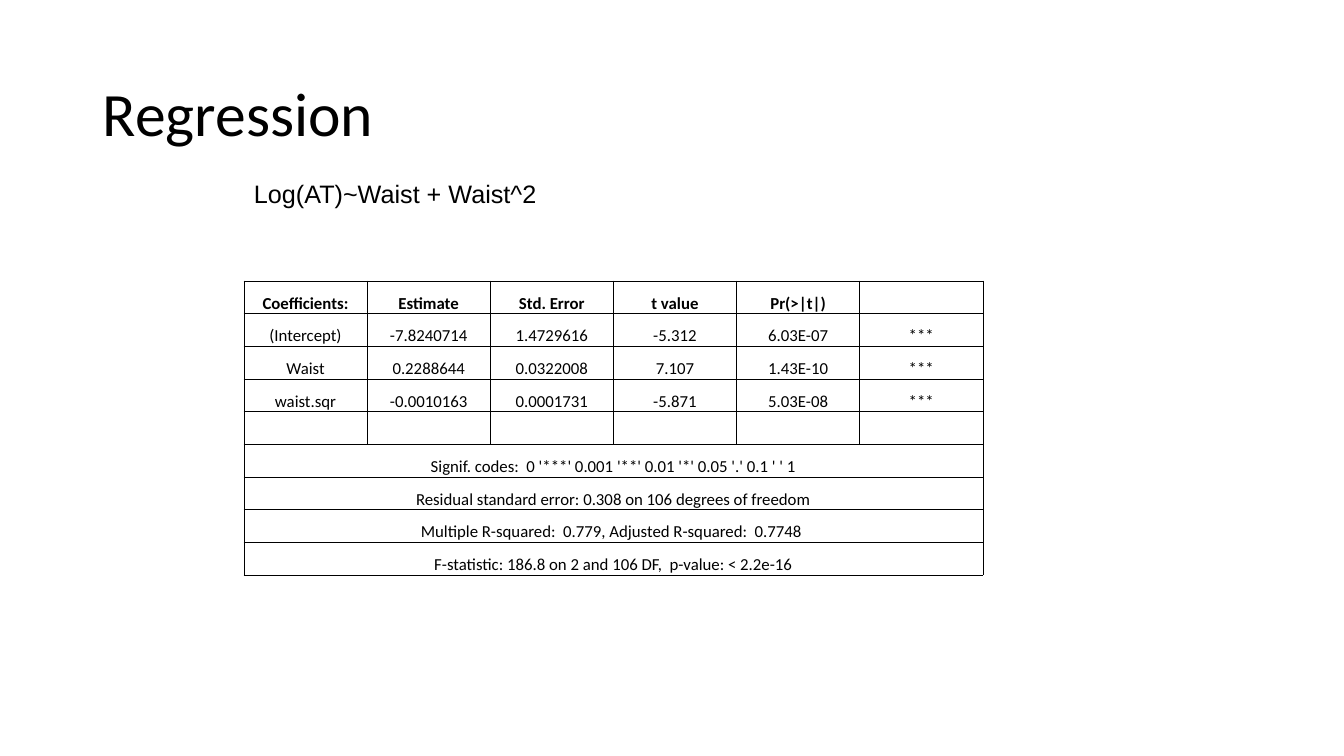
from lxml import etree
from pptx import Presentation
from pptx.dml.color import RGBColor
from pptx.enum.text import MSO_ANCHOR, PP_ALIGN
from pptx.oxml.ns import qn
from pptx.util import Emu, Pt

TITLE = "Regression"
MODEL = "Log(AT)~Waist + Waist^2"
COEFFICIENTS = [
    ["Coefficients:", "Estimate", "Std. Error", "t value", "Pr(>|t|)", ""],
    ["(Intercept)", "-7.8240714", "1.4729616", "-5.312", "6.03E-07", "***"],
    ["Waist", "0.2288644", "0.0322008", "7.107", "1.43E-10", "***"],
    ["waist.sqr", "-0.0010163", "0.0001731", "-5.871", "5.03E-08", "***"],
    [""] * 6,
]
SUMMARY = [
    "Signif. codes:  0 '***' 0.001 '**' 0.01 '*' 0.05 '.' 0.1 ' ' 1",
    "Residual standard error: 0.308 on 106 degrees of freedom",
    "Multiple R-squared:  0.779, Adjusted R-squared:  0.7748 ",
    "F-statistic: 186.8 on 2 and 106 DF,  p-value: < 2.2e-16",
]

COLORS = {"ink": "000000", "paper": "FFFFFF"}
SLIDE_SIZE = (1344, 756)
TITLE_BOX = (93, 70, 975, 93)
MODEL_BOX = (244, 173, 336, 40)
TABLE_BOX = (244, 281, 739, 294)
CELL_MARGIN = 1
TABLE_TEXT_SIZE = 12
BORDER_WIDTH = 0.5

CENTER = PP_ALIGN.CENTER
LEFT = PP_ALIGN.LEFT
MIDDLE = MSO_ANCHOR.MIDDLE
TOP = MSO_ANCHOR.TOP
BOTTOM = MSO_ANCHOR.BOTTOM


def px(length):
    return Emu(round(length * 914400 / 100.8))


def write_text(frame, text, size, font="Calibri", bold=False, align=LEFT, line_spacing=None):
    paragraph = frame.paragraphs[0]
    paragraph.alignment = align
    paragraph.line_spacing = line_spacing
    if not text:
        # An empty paragraph takes its height from its end mark.
        etree.SubElement(paragraph._p, qn("a:endParaRPr"), sz=str(size * 100))
        return
    run = paragraph.add_run()
    run.text = text
    run.font.size = Pt(size)
    run.font.name = font
    run.font.bold = bold
    run.font.color.rgb = RGBColor.from_string(COLORS["ink"])


def add_text(slide, box, text, anchor=TOP, **text_format):
    shape = slide.shapes.add_textbox(*map(px, box))
    frame = shape.text_frame
    frame.word_wrap = True
    frame.vertical_anchor = anchor
    write_text(frame, text, **text_format)


def set_borders(cell):
    properties = cell._tc.get_or_add_tcPr()
    for position, side in enumerate(("lnL", "lnR", "lnT", "lnB")):
        line = etree.Element(qn(f"a:{side}"), w=str(Pt(BORDER_WIDTH)))
        fill = etree.SubElement(line, qn("a:solidFill"))
        etree.SubElement(fill, qn("a:srgbClr"), val=COLORS["ink"])
        properties.insert(position, line)


def add_regression_table(slide):
    rows = COEFFICIENTS + [[line] for line in SUMMARY]
    column_count = len(COEFFICIENTS[0])
    left, top, width, height = TABLE_BOX
    frame = slide.shapes.add_table(len(rows), column_count, *map(px, TABLE_BOX))
    table = frame.table
    table.first_row = False
    table.horz_banding = False
    for column in table.columns:
        column.width = px(width / column_count)
    for row in table.rows:
        row.height = px(height / len(rows))

    for row_index, values in enumerate(rows):
        for column_index in range(column_count):
            cell = table.cell(row_index, column_index)
            cell.fill.solid()
            cell.fill.fore_color.rgb = RGBColor.from_string(COLORS["paper"])
            set_borders(cell)
            cell.vertical_anchor = BOTTOM
            cell.margin_left = cell.margin_right = cell.margin_top = px(CELL_MARGIN)
            cell.margin_bottom = 0
        if len(values) == 1:
            table.cell(row_index, 0).merge(table.cell(row_index, column_count - 1))
        for column_index, value in enumerate(values):
            write_text(table.cell(row_index, column_index).text_frame, value,
                       size=TABLE_TEXT_SIZE, bold=row_index == 0, align=CENTER)


def main():
    presentation = Presentation()
    presentation.slide_width, presentation.slide_height = map(px, SLIDE_SIZE)
    slide = presentation.slides.add_slide(presentation.slide_layouts[6])
    add_text(slide, TITLE_BOX, TITLE, anchor=MIDDLE, size=44, line_spacing=0.9)
    add_regression_table(slide)
    add_text(slide, MODEL_BOX, MODEL, size=18, font="Arial")
    presentation.save("out.pptx")


if __name__ == "__main__":
    main()
